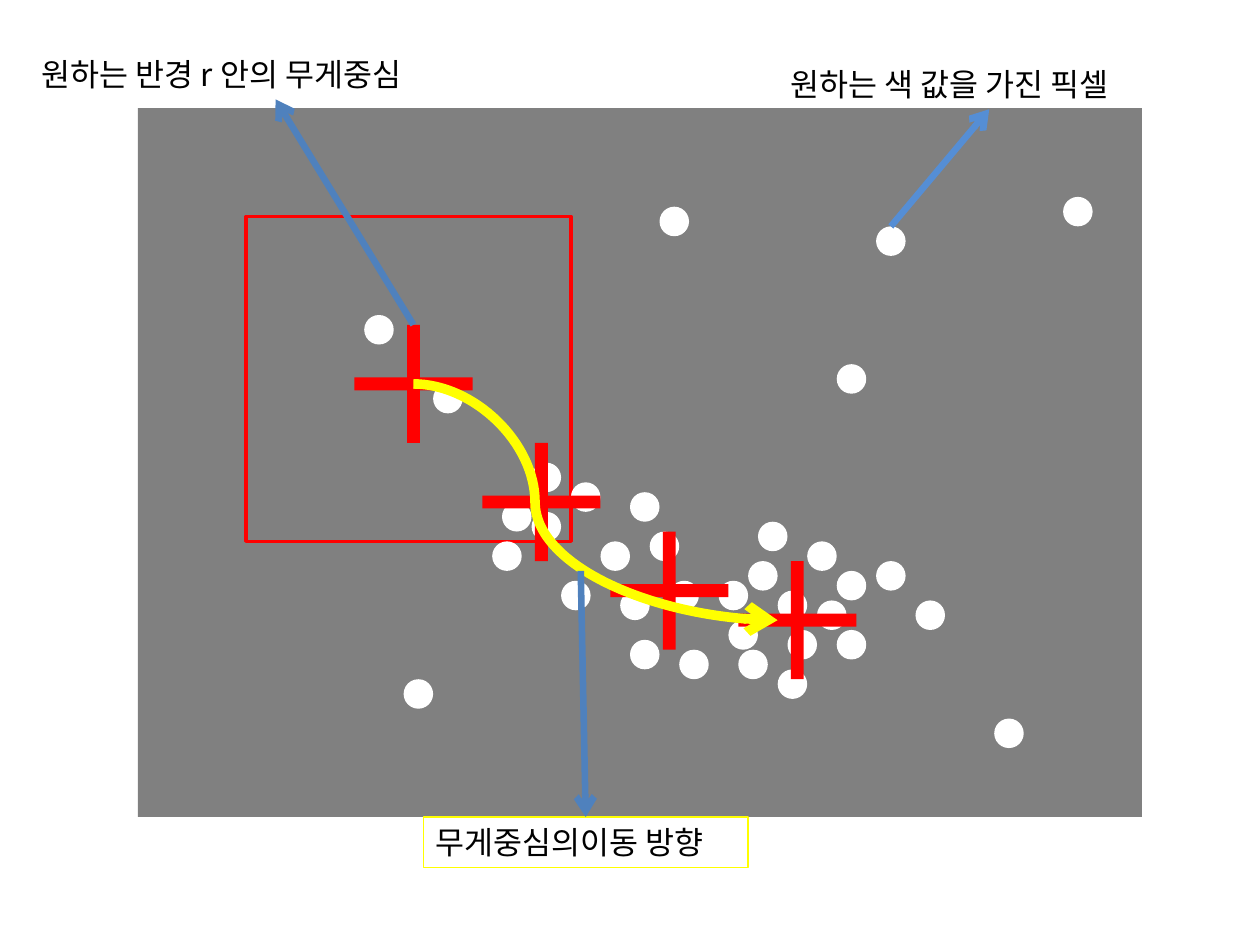
from lxml.etree import SubElement
from pptx import Presentation
from pptx.dml.color import RGBColor
from pptx.enum.shapes import MSO_CONNECTOR, MSO_SHAPE
from pptx.oxml.ns import qn
from pptx.util import Pt

# Content: places and sizes count grid units
UNIT = 45 / 8  # points
FONT = "Noto Sans CJK KR"
COLORS = {
    "field": "808080", "pixel": "FFFFFF", "center": "FF0000", "path": "FFFF00",
    "pointer": "4F81BD", "pixel pointer": "558ED5", "text": "000000",
}
FIELD = (14, 11, 102, 72)
WINDOW = (25, 22, 33, 33)
PIXEL_SIZE = 3
PIXELS = [
    (37, 32), (77, 53), (76, 57), (58, 49), (89, 23), (74, 63), (79, 60),
    (80, 64), (85, 64), (79, 68), (41, 69), (82, 55), (85, 58), (89, 57),
    (93, 61), (108, 20), (64, 50), (85, 37), (69, 66), (73, 59), (75, 66),
    (101, 73), (83, 61), (64, 65), (54, 52), (57, 59), (61, 55), (63, 60),
    (68, 59), (50, 55), (44, 39), (51, 51), (54, 47), (67, 21), (66, 54),
]
CENTER_SIZE = 12
CENTERS = [(36, 33), (49, 45), (62, 54), (75, 57)]
PATH = ((42, 39), (79, 63))
# Each label: text, (left, top, width), border, pointer start, pointer end, pointer colour
LABELS = [
    ("원하는 색 값을 가진 픽셀", (79, 6, 43), None, (90.5, 23), (100.5, 11.1), "pixel pointer"),
    ("무게중심의이동 방향", (43, 83, 33), "path", (59, 58), (59.5, 83), "pointer"),
    ("원하는 반경 r 안의 무게중심", (3, 5, 50), None, (42, 33), (28, 10.1), "pointer"),
]
LABEL_HEIGHT = 5.17

presentation = Presentation()
presentation.slide_width, presentation.slide_height = Pt(720), Pt(540)
slide = presentation.slides.add_slide(presentation.slide_layouts[6])


def grid(*units):
    return [Pt(round(unit * UNIT, 2)) for unit in units]


def color(name):
    return RGBColor.from_string(COLORS[name])


def add_mark(preset, box, fill=None, line=None, width=2):
    mark = slide.shapes.add_shape(preset, *grid(*box))
    mark.shadow.inherit = False
    if fill:
        mark.fill.solid()
        mark.fill.fore_color.rgb = color(fill)
    else:
        mark.fill.background()
    if line:
        mark.line.color.rgb = color(line)
        mark.line.width = Pt(width)
    else:
        mark.line.fill.background()
    return mark


def add_arrow(kind, start, end, line, width):
    arrow = slide.shapes.add_connector(kind, *grid(*start, *end))
    arrow.line.color.rgb = color(line)
    arrow.line.width = Pt(width)
    SubElement(arrow.line._get_or_add_ln(), qn("a:tailEnd"), type="arrow")
    SubElement(arrow._element.spPr, qn("a:effectLst"))
    return arrow


def add_label(text, box, border):
    label = slide.shapes.add_textbox(*grid(*box, LABEL_HEIGHT))
    if border:
        label.line.color.rgb = color(border)
        label.line.width = Pt(0.75)
    label.text_frame.word_wrap = True
    paragraph = label.text_frame.paragraphs[0]
    paragraph.text = text
    paragraph.font.size = Pt(18)
    paragraph.font.color.rgb = color("text")
    paragraph.font.name = FONT
    # Korean letters take the East Asian font
    SubElement(paragraph._p.pPr.find(qn("a:defRPr")), qn("a:ea"), typeface=FONT)


# Field with the search window
add_mark(MSO_SHAPE.RECTANGLE, FIELD, fill="field")
add_mark(MSO_SHAPE.RECTANGLE, WINDOW, line="center")

# Pixels and the successive centers of mass
for place in PIXELS:
    add_mark(MSO_SHAPE.OVAL, (*place, PIXEL_SIZE, PIXEL_SIZE), fill="pixel")
for place in CENTERS:
    cross = add_mark(MSO_SHAPE.CROSS, (*place, CENTER_SIZE, CENTER_SIZE), fill="center")
    cross.adjustments[0] = 0.446

# Path of the center
curve = add_arrow(MSO_CONNECTOR.CURVE, *PATH, "path", 5.5)
geometry = curve._element.spPr.find(qn("a:prstGeom"))
SubElement(geometry.get_or_add_avLst(), qn("a:gd"), name="adj1", fmla="val 33400")

# Labels and their pointers
for text, box, border, start, end, pointer in LABELS:
    add_label(text, box, border)
    add_arrow(MSO_CONNECTOR.STRAIGHT, start, end, pointer, 3.75)

presentation.save("out.pptx")
